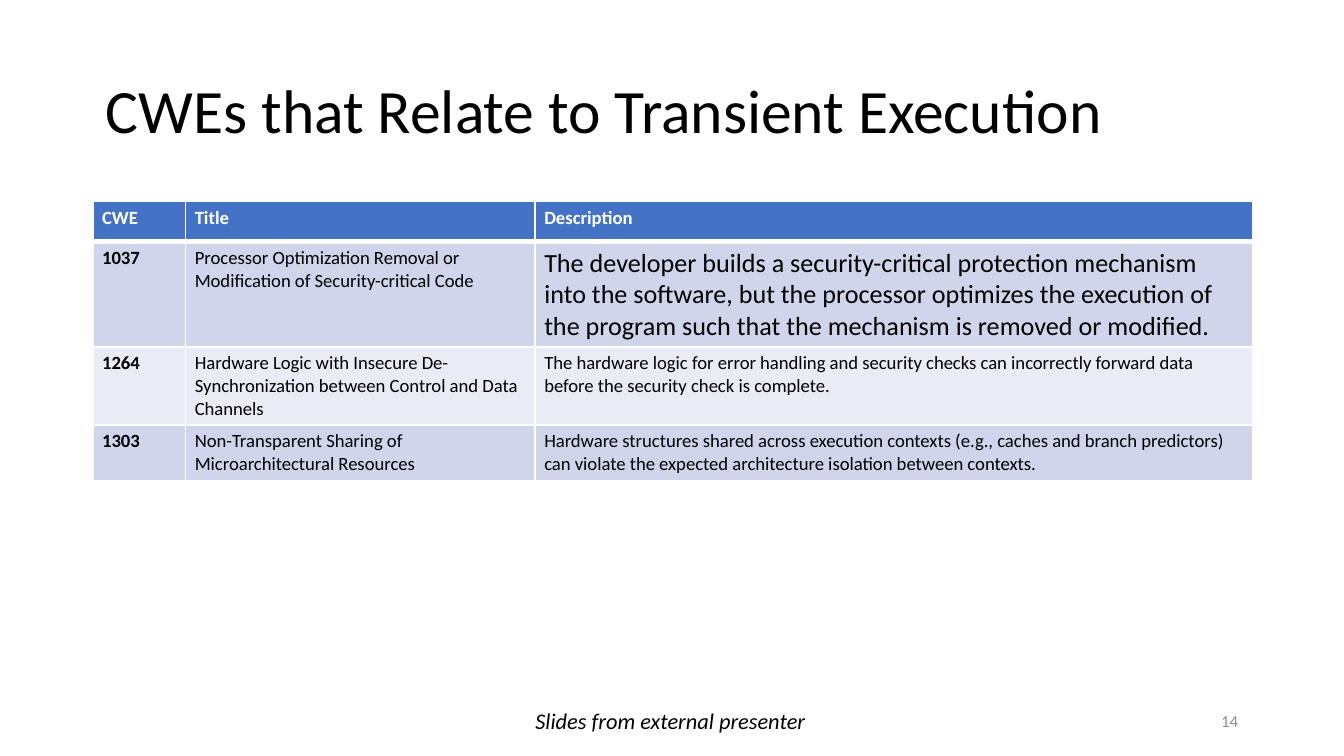
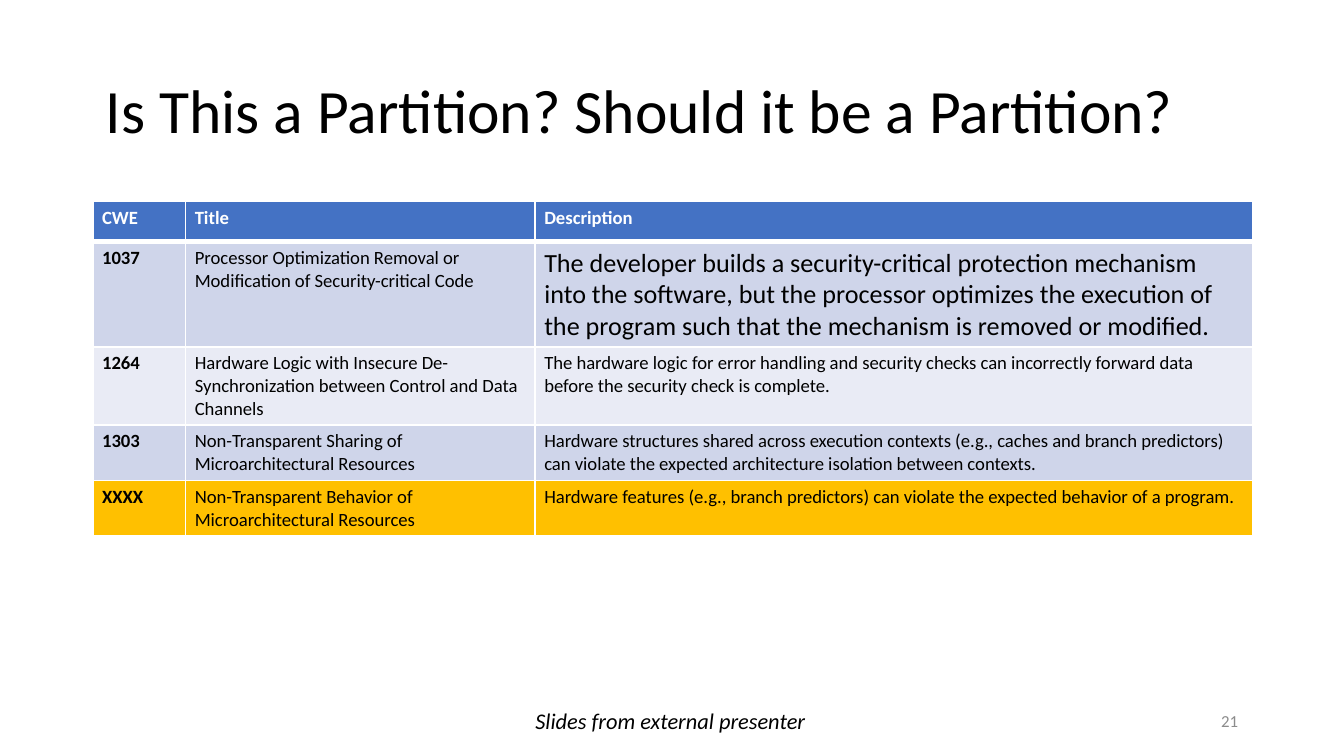
from lxml import etree
from pptx import Presentation
from pptx.dml.color import RGBColor
from pptx.enum.text import MSO_ANCHOR, MSO_AUTO_SIZE, PP_ALIGN
from pptx.oxml.ns import qn
from pptx.util import Inches, Pt

MIDDLE, TOP = MSO_ANCHOR.MIDDLE, MSO_ANCHOR.TOP
LEFT, RIGHT = PP_ALIGN.LEFT, PP_ALIGN.RIGHT
FIT_SHAPE = MSO_AUTO_SIZE.SHAPE_TO_FIT_TEXT

BLACK = RGBColor(0x00, 0x00, 0x00)
WHITE = RGBColor(0xFF, 0xFF, 0xFF)
GREY = RGBColor(0x8C, 0x8C, 0x8C)
HEADER_BLUE = RGBColor(0x44, 0x72, 0xC4)
BANDS = (RGBColor(0xCF, 0xD5, 0xEA), RGBColor(0xE9, 0xEB, 0xF5))
PROPOSED_GOLD = RGBColor(0xFF, 0xC0, 0x00)
FONT = "Calibri"

# Content
CREDIT = "Slides from external presenter"
HEADINGS = ("CWE", "Title", "Description")
PROPOSED_ID = "XXXX"
KNOWN_CWES = [
    ("1037",
     "Processor Optimization Removal or Modification of Security-critical Code",
     "The developer builds a security-critical protection mechanism into the software, "
     "but the processor optimizes the execution of the program such that the mechanism "
     "is removed or modified."),
    ("1264",
     "Hardware Logic with Insecure De-Synchronization between Control and Data Channels",
     "The hardware logic for error handling and security checks can incorrectly forward "
     "data before the security check is complete."),
    ("1303",
     "Non-Transparent Sharing of Microarchitectural Resources",
     "Hardware structures shared across execution contexts (e.g., caches and branch "
     "predictors) can violate the expected architecture isolation between contexts."),
]
PROPOSED_CWE = (
    PROPOSED_ID,
    "Non-Transparent Behavior of Microarchitectural Resources",
    "Hardware features (e.g., branch predictors) can violate the expected behavior "
    "of a program.")
SLIDES = [
    ("CWEs that Relate to Transient Execution", 14, KNOWN_CWES),
    ("Is This a Partition? Should it be a Partition?", 21, KNOWN_CWES + [PROPOSED_CWE]),
]

# Layout, in inches
SLIDE_W = 10
SLIDE_H = SLIDE_W * 9 / 16
MARGIN = 0.69
CONTENT_W = SLIDE_W - 2 * MARGIN
TABLE_TOP = 1.5
COLUMNS = (0.69, 2.6, 5.34)
ROWS = (0.3, 0.75, 0.58, 0.41, 0.41)
FOOTER_TOP, FOOTER_H = 5.21, 0.3
NUMBER_W, CREDIT_W = 2.25, 2.23
CELL_INSET_X, CELL_INSET_Y = 0.07, 0.04
BODY_SIZE, LARGE_SIZE = 10, 14
LARGE_CELL = (1, 2)


def style(paragraph, size, color, bold=False, italic=False):
    font = paragraph.font
    font.name, font.size, font.bold, font.italic = FONT, Pt(size), bold, italic
    font.color.rgb = color


def add_text(slide, text, box, size, color, anchor=MIDDLE, align=LEFT, italic=False):
    frame = slide.shapes.add_textbox(*map(Inches, box)).text_frame
    frame.word_wrap = True
    frame.vertical_anchor = anchor
    paragraph = frame.paragraphs[0]
    paragraph.text = text
    paragraph.alignment = align
    style(paragraph, size, color, italic=italic)
    return frame


def set_insets(cell):
    cell.margin_left = cell.margin_right = Inches(CELL_INSET_X)
    cell.margin_top = cell.margin_bottom = Inches(CELL_INSET_Y)


def set_borders(cell, top, bottom):
    """Draw white cell borders; the schema wants them ahead of the fill."""
    properties = cell._tc.get_or_add_tcPr()
    widths = (("lnL", 1), ("lnR", 1), ("lnT", top), ("lnB", bottom))
    for position, (side, width) in enumerate(widths):
        line = etree.Element(qn(f"a:{side}"), w=str(Pt(width)))
        fill = etree.SubElement(line, qn("a:solidFill"))
        etree.SubElement(fill, qn("a:srgbClr"), val=str(WHITE))
        properties.insert(position, line)


def row_fill(row, cwe_id):
    if row == 0:
        return HEADER_BLUE
    if cwe_id == PROPOSED_ID:
        return PROPOSED_GOLD
    return BANDS[(row - 1) % len(BANDS)]


def add_cwe_table(slide, cwes):
    records = [HEADINGS] + cwes
    heights = ROWS[:len(records)]
    table = slide.shapes.add_table(
        len(records), len(COLUMNS), Inches(MARGIN), Inches(TABLE_TOP),
        Inches(CONTENT_W), Inches(sum(heights))).table
    for column, width in zip(table.columns, COLUMNS):
        column.width = Inches(width)
    for row, (record, height) in enumerate(zip(records, heights)):
        table.rows[row].height = Inches(height)
        is_header = row == 0
        for col, text in enumerate(record):
            cell = table.cell(row, col)
            cell.text = text
            set_insets(cell)
            cell.fill.solid()
            cell.fill.fore_color.rgb = row_fill(row, record[0])
            set_borders(cell, top=3 if row == 1 else 1, bottom=3 if is_header else 1)
            style(cell.text_frame.paragraphs[0],
                  LARGE_SIZE if (row, col) == LARGE_CELL else BODY_SIZE,
                  WHITE if is_header else BLACK,
                  bold=is_header or col == 0)


def add_footer(slide, number):
    add_text(slide, str(number),
             (SLIDE_W - MARGIN - NUMBER_W, FOOTER_TOP, NUMBER_W, FOOTER_H),
             9, GREY, align=RIGHT)
    credit = add_text(slide, CREDIT,
                      ((SLIDE_W - CREDIT_W) / 2, FOOTER_TOP, CREDIT_W, FOOTER_H),
                      12, BLACK, anchor=TOP, italic=True)
    credit.word_wrap = False
    credit.auto_size = FIT_SHAPE


def main():
    deck = Presentation()
    deck.slide_width, deck.slide_height = Inches(SLIDE_W), Inches(SLIDE_H)
    blank = deck.slide_layouts[6]
    for title, number, cwes in SLIDES:
        slide = deck.slides.add_slide(blank)
        heading = add_text(slide, title, (MARGIN, 0.3, CONTENT_W, 1.09), 33, BLACK)
        heading.paragraphs[0].line_spacing = 0.9
        add_cwe_table(slide, cwes)
        add_footer(slide, number)
    deck.save("out.pptx")


if __name__ == "__main__":
    main()
